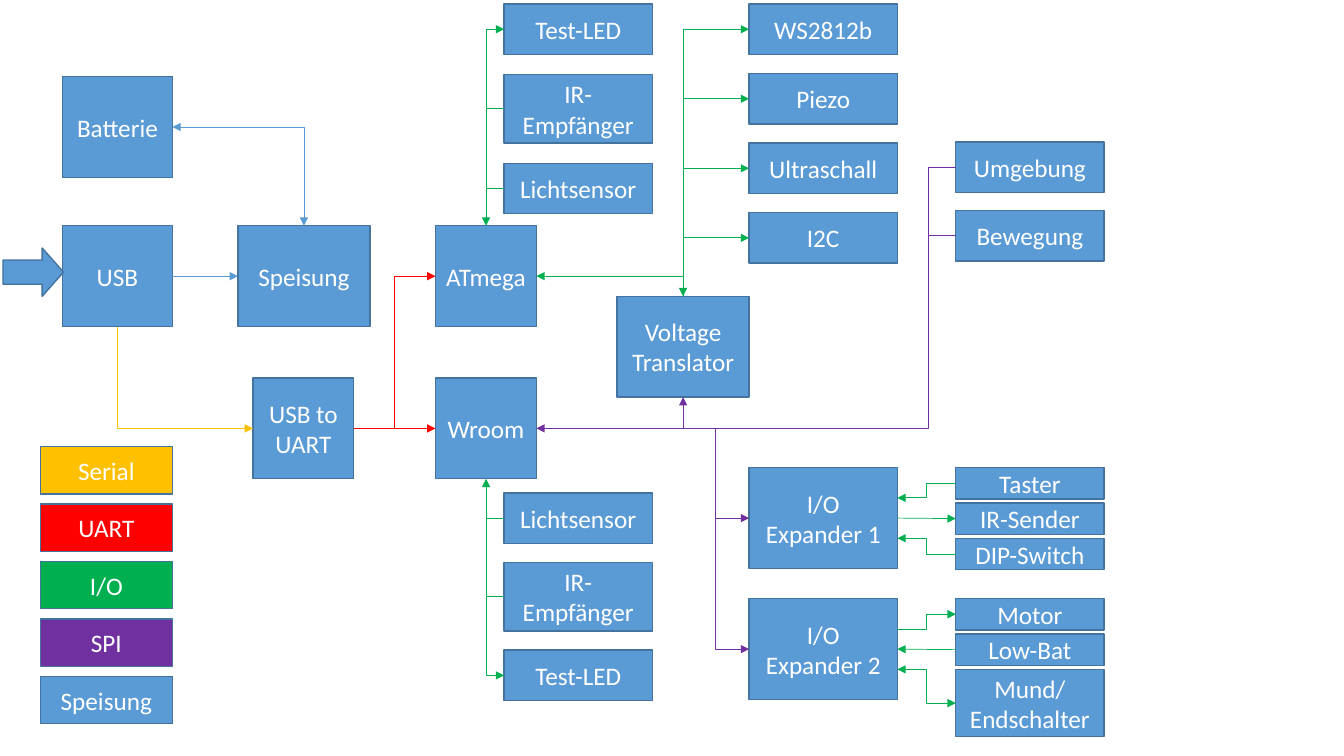
"""Block diagram of a robot's electronics: supply, controllers, buses and peripherals."""
import lxml.etree
import pptx
import pptx.dml.color
import pptx.enum.shapes
import pptx.enum.text
import pptx.oxml.ns
import pptx.util

COLORS = {"Speisung": "5B9BD5", "Serial": "FFC000", "UART": "FF0000", "I/O": "00B050",
          "SPI": "7030A0", "outline": "43739E", "text": "FFFFFF"}
FONT = "Calibri"
SLIDE = (13.33, 7.5)

# stack: left, top, width, gap, [(key, text, height)]
STACKS = [
    (0.62, 0.76, 1.09, 0.48, [("battery", "Batterie", 1), ("usb", "USB", 1)]),
    (2.36, 2.24, 1.31, 0, [("supply", "Speisung", 1)]),
    (2.51, 3.75, 1, 0, [("bridge", "USB to UART", 1)]),
    (4.32, 2.24, 1, 0.51, [("atmega", "ATmega", 1), ("wroom", "Wroom", 1)]),
    (6.12, 2.94, 1.31, 0, [("translator", "Voltage Translator", 1)]),
    (7.43, 0.04, 1.47, 0.19, [("led strip", "WS2812b", 0.5), ("piezo", "Piezo", 0.5),
                              ("ultrasonic", "Ultraschall", 0.5), ("i2c", "I2C", 0.5)]),
    (7.43, 4.64, 1.47, 0.3, [("expander 1", "I/O Expander 1", 1),
                             ("expander 2", "I/O Expander 2", 1)]),
    (9.48, 4.64, 1.47, 0.04, [("button", "Taster", 0.31), ("ir sender", "IR-Sender", 0.31),
                              ("dip", "DIP-Switch", 0.31)]),
    (9.48, 5.94, 1.47, 0.04, [("motor", "Motor", 0.31), ("low bat", "Low-Bat", 0.31),
                              ("mouth", "Mund/ Endschalter", 0.67)]),
    (9.48, 1.41, 1.47, 0.18, [("ambient", "Umgebung", 0.5), ("motion", "Bewegung", 0.5)]),
    (5, 0.04, 1.47, 0.2, [("upper led", "Test-LED", 0.5), ("upper ir", "IR-Empfänger", 0.68),
                          ("upper light", "Lichtsensor", 0.5)]),
    (5, 4.89, 1.47, 0.19, [("lower light", "Lichtsensor", 0.5),
                           ("lower ir", "IR-Empfänger", 0.68), ("lower led", "Test-LED", 0.5)]),
]
LEGEND = (0.4, 4.43, 1.31, 0.1, [(name, name, 0.47)
                                 for name in ("Serial", "UART", "I/O", "SPI", "Speisung")])
PLUG = (0.03, 2.46, 0.6, 0.48)

SIDES = {"left": (0, 0.5), "right": (1, 0.5), "top": (0.5, 0), "bottom": (0.5, 1),
         "upper right": (1, 0.3), "lower right": (1, 0.7)}

# wire: signal, (block, side), (block, side), route, arrowheads
WIRES = [
    ("Speisung", ("usb", "right"), ("supply", "left"), "straight", "end"),
    ("UART", ("bridge", "right"), ("wroom", "left"), "straight", "end"),
    ("Speisung", ("battery", "right"), ("supply", "top"), "across", "both"),
    ("Serial", ("usb", "bottom"), ("bridge", "left"), "upright", "end"),
    ("UART", ("bridge", "right"), ("atmega", "left"), "step", "end"),
    ("SPI", ("wroom", "right"), ("translator", "bottom"), "across", "both"),
    ("I/O", ("atmega", "right"), ("translator", "top"), "across", "both"),
    ("I/O", ("expander 1", "upper right"), ("button", "left"), "step", "start"),
    ("I/O", ("expander 1", "right"), ("ir sender", "left"), "straight", "end"),
    ("I/O", ("expander 1", "lower right"), ("dip", "left"), "step", "start"),
    ("I/O", ("expander 2", "upper right"), ("motor", "left"), "step", "end"),
    ("I/O", ("expander 2", "right"), ("low bat", "left"), "straight", "start"),
    ("I/O", ("expander 2", "lower right"), ("mouth", "left"), "step", "both"),
]
SENSOR_BUS = ((6.78, 4.25), 0.9)

# bus: signal, starting point, [(block, arrowheads)], each tap going on from the one before
BUSES = [
    ("I/O", ("translator", "top"), [("i2c", "end"), ("ultrasonic", "end"),
                                    ("piezo", "end"), ("led strip", "end")]),
    ("SPI", (7.1, 4.25), [("expander 1", "end"), ("expander 2", "end")]),
    ("SPI", (9.21, 2.65), [("ambient", "")]),
    ("I/O", ("atmega", "top"), [("upper light", "start"), ("upper ir", ""), ("upper led", "end")]),
    ("I/O", ("wroom", "bottom"), [("lower light", "start"), ("lower ir", ""),
                                  ("lower led", "end")]),
]

inch = pptx.util.Inches
rgb = pptx.dml.color.RGBColor.from_string
qn = pptx.oxml.ns.qn
preset = pptx.enum.shapes.MSO_SHAPE
link = pptx.enum.shapes.MSO_CONNECTOR


def add_block(slide, box, color, text="", kind=preset.RECTANGLE):
    block = slide.shapes.add_shape(kind, *map(inch, box))
    block.shadow.inherit = False
    block.fill.solid()
    block.fill.fore_color.rgb = rgb(COLORS[color])
    block.line.color.rgb = rgb(COLORS["outline"])
    block.line.width = pptx.util.Pt(1)
    if text:
        frame = block.text_frame
        frame.text = text
        frame.word_wrap = True
        frame.vertical_anchor = pptx.enum.text.MSO_ANCHOR.MIDDLE
        label = frame.paragraphs[0]
        label.alignment = pptx.enum.text.PP_ALIGN.CENTER
        font = label.runs[0].font
        font.name, font.size = FONT, pptx.util.Pt(18)
        font.color.rgb = rgb(COLORS["text"])
    return block


def add_stack(slide, stack, colored=False):
    left, top, width, gap, rows = stack
    boxes = {}
    for key, text, height in rows:
        boxes[key] = (left, top, width, height)
        add_block(slide, boxes[key], key if colored else "Speisung", text)
        top += height + gap
    return boxes


def port(boxes, block, side):
    left, top, width, height = boxes[block]
    across, down = SIDES[side]
    return left + across * width, top + down * height


def add_wire(slide, signal, start, end, route, heads, bend=None):
    (x1, y1), (x2, y2) = start, end
    rising = y2 < y1
    if route == "upright":
        middle_x, middle_y = (x1 + x2) / 2, (y1 + y2) / 2
        half_w, half_h = abs(y2 - y1) / 2, abs(x2 - x1) / 2
        x1, x2 = middle_x + half_w, middle_x - half_w
        y1, y2 = middle_y - half_h, middle_y + half_h
        if rising:
            y1, y2 = y2, y1
    kind = link.STRAIGHT if route == "straight" else link.ELBOW
    wire = slide.shapes.add_connector(kind, *map(inch, (x1, y1, x2, y2)))
    wire.line.color.rgb = rgb(COLORS[signal])
    wire.line.width = pptx.util.Pt(0.5)
    properties = wire._element.spPr
    geometry = properties.find(qn("a:prstGeom"))
    if route in ("across", "upright"):
        geometry.set("prst", "bentConnector2")
    if route == "upright":
        properties.find(qn("a:xfrm")).set("rot", str((90 if rising else 270) * 60000))
    if bend:
        lxml.etree.SubElement(geometry.find(qn("a:avLst")), qn("a:gd"),
                              name="adj1", fmla=f"val {round(bend * 100000)}")
    outline = properties.find(qn("a:ln"))
    for tag, place in (("a:headEnd", "start"), ("a:tailEnd", "end")):
        if heads in (place, "both"):
            lxml.etree.SubElement(outline, qn(tag), type="triangle")
    lxml.etree.SubElement(properties, qn("a:effectLst"))


def main():
    deck = pptx.Presentation()
    deck.slide_width, deck.slide_height = map(inch, SLIDE)
    slide = deck.slides.add_slide(deck.slide_layouts[6])

    boxes = {}
    for stack in STACKS:
        boxes.update(add_stack(slide, stack))
    add_stack(slide, LEGEND, colored=True)
    plug = add_block(slide, PLUG, "Speisung", kind=preset.RIGHT_ARROW)
    plug.adjustments[1] = 0.44

    for signal, start, end, route, heads in WIRES:
        add_wire(slide, signal, port(boxes, *start), port(boxes, *end), route, heads)
    origin, bend = SENSOR_BUS
    add_wire(slide, "SPI", origin, port(boxes, "motion", "left"), "step", "", bend)
    for signal, start, taps in BUSES:
        x, y = port(boxes, *start) if start[0] in boxes else start
        for block, heads in taps:
            end = port(boxes, block, "left")
            add_wire(slide, signal, (x, y), end, "upright", heads)
            y = end[1]

    deck.save("out.pptx")


if __name__ == "__main__":
    main()
